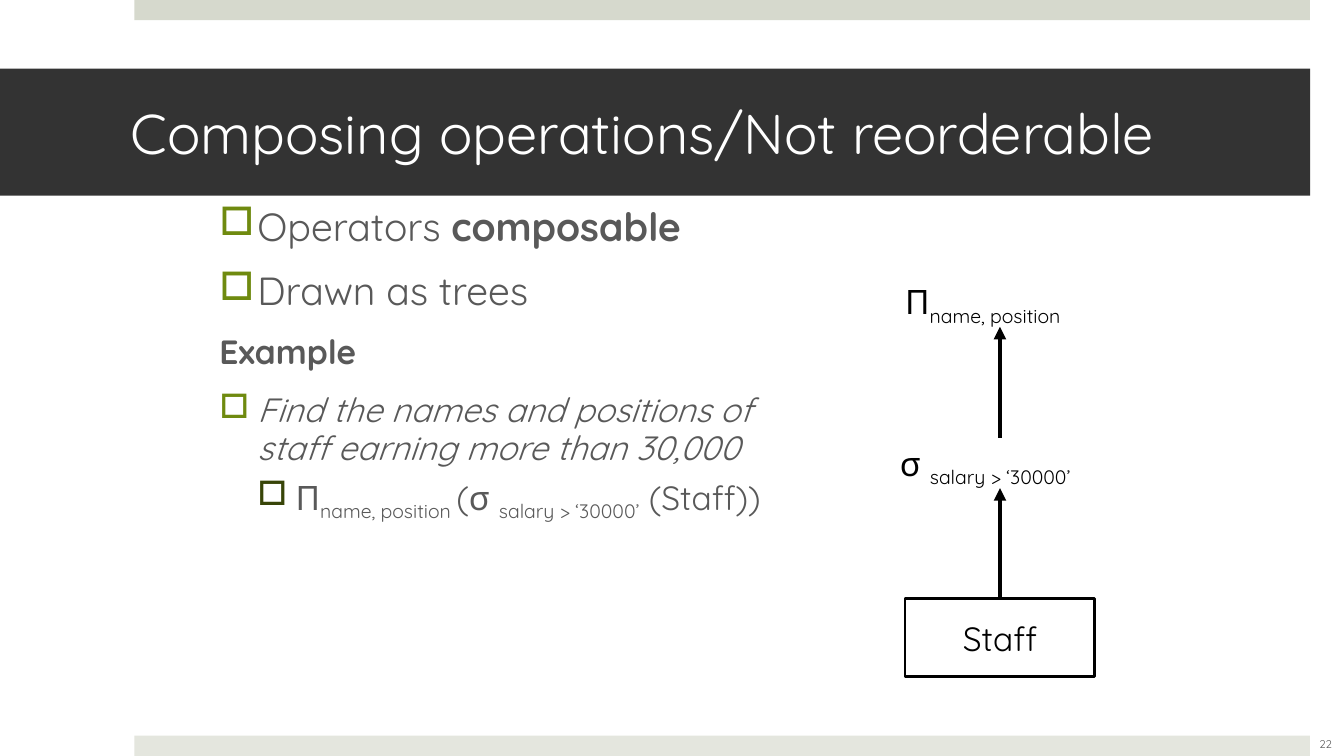
from dataclasses import dataclass

from lxml.etree import SubElement
from pptx import Presentation
from pptx.dml.color import RGBColor
from pptx.enum.shapes import MSO_CONNECTOR as Connector, MSO_SHAPE as Preset
from pptx.enum.text import MSO_ANCHOR as Anchor, MSO_AUTO_SIZE as AutoSize, PP_ALIGN as Align
from pptx.oxml.ns import qn
from pptx.util import Cm, Pt

FONT = "Quicksand"
COLORS = {
    "white": "FFFFFF",
    "black": "000000",
    "band": "333333",
    "top bar": "D6D9CD",
    "bottom bar": "E4E6DE",
    "text": "595959",
    "bullet": "6F8A0F",
    "sub-bullet": "384508",
}
TREE_TOP, TREE_STEP, ARROW_LENGTH, ARROW_X = 6.96, 4.065, 2.79, 25.2


@dataclass
class Box:
    left: float
    top: float
    width: float
    height: float

    def lengths(self):
        return Cm(self.left), Cm(self.top), Cm(self.width), Cm(self.height)


@dataclass
class Run:
    text: str
    bold: bool = False
    italic: bool = False
    subscript: bool = False


@dataclass
class Item:
    runs: list[Run]
    size: int = 24
    space: int = 14
    bullet: str = ""
    level: int = 0


@dataclass
class Operator:
    box: Box
    runs: list[Run]


PROJECTION = [Run("Π"), Run("name, position", subscript=True)]
SELECTION = [Run("σ "), Run("salary > ‘30000’", subscript=True)]

ITEMS = [
    Item([Run("Operators "), Run("composable", bold=True)], 28, 0, "bullet"),
    Item([Run("Drawn as trees")], 28, bullet="bullet"),
    Item([Run("Example", bold=True)]),
    Item([Run("Find the names and positions of staff earning more than 30,000", italic=True)],
         bullet="bullet"),
    Item([*PROJECTION, Run(" ", subscript=True), Run("("), *SELECTION, Run(" (Staff))")],
         space=6, bullet="sub-bullet", level=1),
]

OPERATORS = [
    Operator(Box(22.56, TREE_TOP, 5.26, 1.27), PROJECTION),
    Operator(Box(22.43, TREE_TOP + TREE_STEP, 5.51, 1.27), SELECTION),
]
STAFF = Box(22.81, TREE_TOP + 2 * TREE_STEP, 4.78, 1.96)


def rgb(name: str) -> RGBColor:
    return RGBColor.from_string(COLORS[name])


def write_text(paragraph, runs: list[Run], *, size: float, color: str = "black",
               align: Align = Align.LEFT) -> None:
    paragraph.alignment = align
    for part in runs:
        run = paragraph.add_run()
        run.text = part.text
        font = run.font
        font.name, font.size = FONT, Pt(size)
        font.bold, font.italic = part.bold, part.italic
        font.color.rgb = rgb(color)
        if part.subscript:
            run._r.get_or_add_rPr().set("baseline", "-25000")


def set_bullet(paragraph, color: str, level: int) -> None:
    paragraph.level = level
    properties = paragraph._p.get_or_add_pPr()
    properties.set("marL", str(Cm(0.96 * (level + 1))))
    properties.set("indent", str(-Cm(0.96)))
    bullet_color = SubElement(properties, qn("a:buClr"))
    SubElement(bullet_color, qn("a:srgbClr")).set("val", COLORS[color])
    SubElement(properties, qn("a:buChar")).set("char", "□")


def add_rectangle(slide, box: Box, fill: str, line: str = ""):
    shape = slide.shapes.add_shape(Preset.RECTANGLE, *box.lengths())
    shape.shadow.inherit = False
    shape.fill.solid()
    shape.fill.fore_color.rgb = rgb(fill)
    if line:
        shape.line.color.rgb = rgb(line)
        shape.line.width = Pt(2)
    else:
        shape.line.fill.background()
    return shape


def add_text_frame(slide, box: Box):
    frame = slide.shapes.add_textbox(*box.lengths()).text_frame
    frame.word_wrap = True
    return frame


def add_title(slide) -> None:
    title = slide.shapes.title
    title.left, title.top, title.width, title.height = Box(0, 1.73, 33.02, 3.2).lengths()
    title.fill.solid()
    title.fill.fore_color.rgb = rgb("band")
    frame = title.text_frame
    frame.auto_size = AutoSize.NONE
    frame.vertical_anchor = Anchor.MIDDLE
    frame.margin_left, frame.margin_right = Cm(3.3), Cm(0.76)
    write_text(frame.paragraphs[0], [Run("Composing operations/Not reorderable")],
               size=40, color="white")


def add_items(slide) -> None:
    frame = add_text_frame(slide, Box(5.28, 5.05, 15.88, 13.16))
    frame.margin_right = Cm(1.2)
    for index, item in enumerate(ITEMS):
        paragraph = frame.add_paragraph() if index else frame.paragraphs[0]
        paragraph.space_before = Pt(item.space)
        paragraph.line_spacing = 0.95
        if item.bullet:
            set_bullet(paragraph, item.bullet, item.level)
        write_text(paragraph, item.runs, size=item.size, color="text")


def add_arrow(slide, start: float) -> None:
    arrow = slide.shapes.add_connector(Connector.STRAIGHT, Cm(ARROW_X), Cm(start),
                                       Cm(ARROW_X), Cm(start - ARROW_LENGTH))
    arrow.line.color.rgb = rgb("black")
    arrow.line.width = Pt(3)
    SubElement(arrow.line._get_or_add_ln(), qn("a:tailEnd")).set("type", "triangle")
    SubElement(arrow._element.spPr, qn("a:effectLst"))


def add_tree(slide) -> None:
    staff = add_rectangle(slide, STAFF, "white", "black")
    staff.text_frame.vertical_anchor = Anchor.MIDDLE
    write_text(staff.text_frame.paragraphs[0], [Run("Staff")], size=24, align=Align.CENTER)
    for operator in OPERATORS:
        frame = add_text_frame(slide, operator.box)
        write_text(frame.paragraphs[0], operator.runs, size=24)
    for start in (STAFF.top, OPERATORS[1].box.top):
        add_arrow(slide, start)


def add_slide_number(slide) -> None:
    frame = add_text_frame(slide, Box(32.96, 18.24, 0.9, 1.02))
    frame.margin_left = frame.margin_right = 0
    frame.vertical_anchor = Anchor.MIDDLE
    write_text(frame.paragraphs[0], [Run("22")], size=8, color="text", align=Align.CENTER)


def main() -> None:
    presentation = Presentation()
    presentation.slide_width, presentation.slide_height = Cm(33.87), Cm(19.05)
    slide = presentation.slides.add_slide(presentation.slide_layouts[5])
    for top, color in ((0, "top bar"), (18.54, "bottom bar")):
        add_rectangle(slide, Box(3.39, top, 29.62, 0.51), color)
    add_title(slide)
    add_items(slide)
    add_tree(slide)
    add_slide_number(slide)
    presentation.save("out.pptx")


if __name__ == "__main__":
    main()
